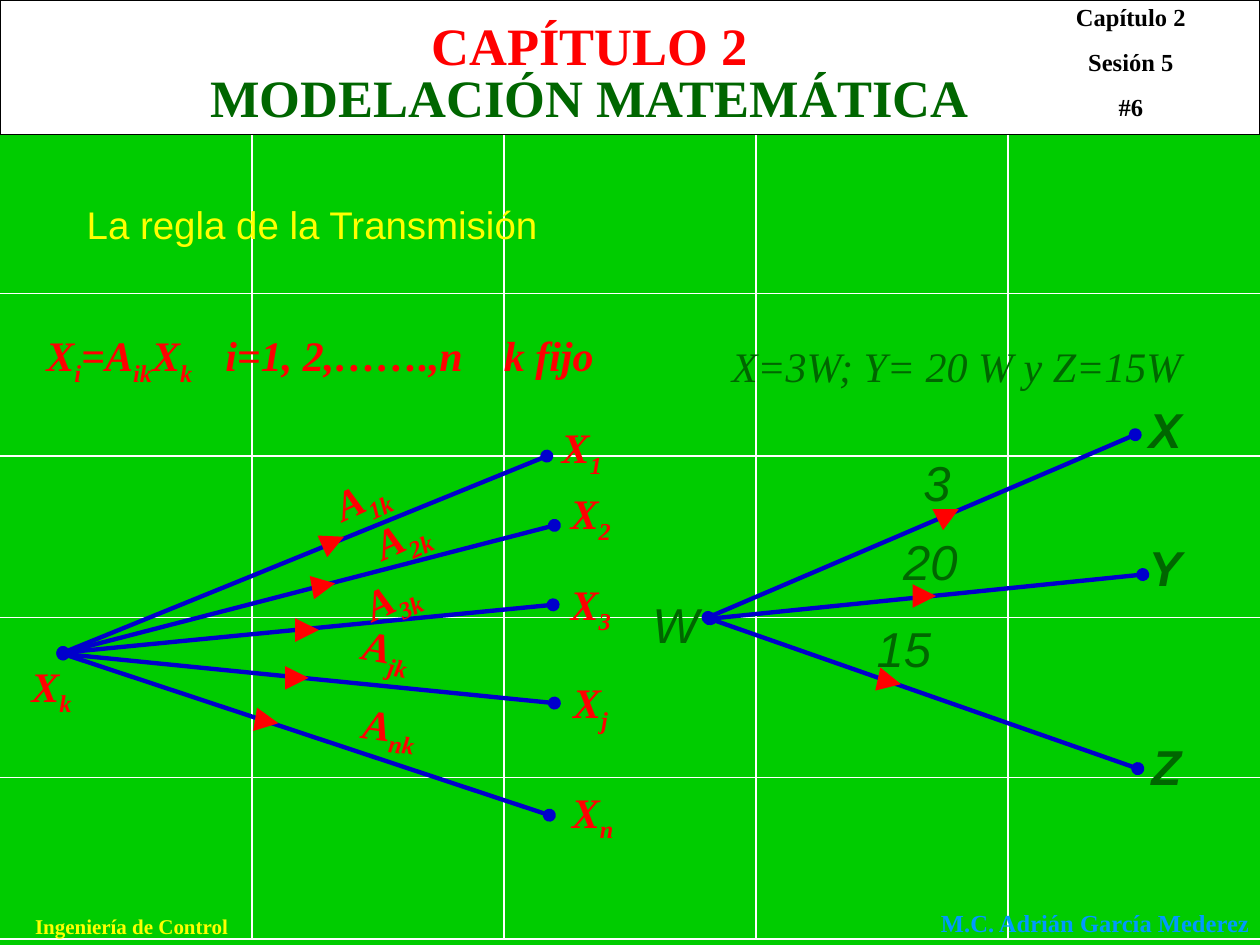
import pptx
import pptx.dml.color
import pptx.enum.shapes
import pptx.enum.text
import pptx.oxml
import pptx.oxml.ns
import pptx.util
import lxml.etree

PX = 9144  # one px is a hundredth of an inch
PAGE = (1000, 750)

THEME = {
    "ground": "00CC00", "grid": "FFFFFF", "panel": "FFFFFF", "border": "000000",
    "branch": "0000CC", "arrow": "FF0000",
    # text styles: font, size, colour, bold, italic
    "title": ("Times New Roman", 30, "FF0000", True, False),
    "subtitle": ("Times New Roman", 30, "006600", True, False),
    "session": ("Times New Roman", 14, "000000", True, False),
    "course": ("Times New Roman", 12, "FFFF00", True, False),
    "author": ("Times New Roman", 14, "0099FF", True, False),
    "heading": ("Arial", 22, "FFFF00", False, False),
    "symbol": ("Times New Roman", 24, "FF0000", True, True),
    "example": ("Times New Roman", 24, "006600", False, True),
    "node": ("Arial", 28, "006600", True, True),
    "gain": ("Arial", 28, "006600", False, True),
}

# Content: within a paragraph, every second piece is a subscript
TITLE = [["CAPÍTULO 2"]]
FORMULA = [["X", "i", "=A", "ik", "X", "k", "\ti=1, 2,…….,n\tk fijo"]]
FORMULA_TABS = (142, 363)
TEXTS = [  # paragraphs, (left, top, width, height), style, centred
    ([["MODELACIÓN MATEMÁTICA"]], (90, 47, 756, 60), "subtitle", True),
    ([["Capítulo 2"], ["Sesión 5"], ["#6"]], (815, -3, 165, 105), "session", True),
    ([["Ingeniería de Control"]], (0, 720, 209, 30), "course", True),
    ([["La regla de la Transmisión"]], (59, 155, 417, 47), "heading", False),
    ([["X=3W; Y= 20 W y Z=15W"]], (571, 265, 394, 50), "example", False),
]
SYMBOLS = [  # letter, subscript, left, top, rotation
    ("X", "k", 15, 519, 0), ("X", "1", 436, 330, 0), ("X", "2", 443, 382, 0),
    ("X", "3", 443, 454, 0), ("X", "j", 445, 532, 0), ("X", "n", 444, 619, 0),
    ("A", "1k", 256, 367, -24.7), ("A", "2k", 288, 398, -24.7),
    ("A", "3k", 280, 446, -24.7), ("A", "jk", 278, 490, 9.9),
    ("A", "nk", 278, 551, 7.4),
]
EXAMPLE_LABELS = [  # text, left, top, width, style
    ("X", 902, 312, 52, "node"), ("Y", 902, 422, 56, "node"),
    ("Z", 904, 580, 56, "node"), ("W", 508, 467, 56, "gain"),
    ("3", 723, 354, 66, "gain"), ("20", 707, 417, 68, "gain"),
    ("15", 686, 486, 68, "gain"),
]
BRANCHES = [  # from x, y, to x, y
    (562, 490, 901, 345), (563, 491, 903, 610), (564, 491, 907, 456),
    (50, 518, 440, 417), (50, 518, 434, 362), (50, 519, 436, 647),
    (50, 518, 439, 480), (50, 519, 440, 558),
]
ARROWS = [
    (753, 408, 761, 404), (733, 473, 743, 473), (706, 541, 715, 543),
    (264, 430, 273, 426), (255, 465, 266, 463), (241, 500, 253, 500),
    (237, 538, 245, 538), (209, 572, 221, 574),
]


def color(value):
    return pptx.dml.color.RGBColor.from_string(value)


def scaled(lengths):
    return [length * PX for length in lengths]


def add_line(ends, ink, width, head=None, tail=None):
    line = page.shapes.add_connector(
        pptx.enum.shapes.MSO_CONNECTOR.STRAIGHT, *scaled(ends))
    line.line.color.rgb = color(ink)
    line.line.width = pptx.util.Pt(width)
    stroke = line.line._get_or_add_ln()
    for tag, kind in (("a:headEnd", head), ("a:tailEnd", tail)):
        if kind:
            lxml.etree.SubElement(stroke, pptx.oxml.ns.qn(tag), type=kind)
    lxml.etree.SubElement(line._element.spPr, pptx.oxml.ns.qn("a:effectLst"))


def write(box, paragraphs, style, centred=False, tabs=()):
    font, size, ink, bold, italic = THEME[style]
    frame = box.text_frame
    frame.word_wrap = True
    frame.auto_size = pptx.enum.text.MSO_AUTO_SIZE.NONE
    frame.vertical_anchor = pptx.enum.text.MSO_ANCHOR.TOP
    for row, pieces in enumerate(paragraphs):
        para = frame.add_paragraph() if row else frame.paragraphs[0]
        align = pptx.enum.text.PP_ALIGN
        para.alignment = align.CENTER if centred else align.LEFT
        para.space_before = pptx.util.Pt(8.8 if row else 0)
        if tabs:
            stops = lxml.etree.SubElement(
                para._p.get_or_add_pPr(), pptx.oxml.ns.qn("a:tabLst"))
            for stop in tabs:
                lxml.etree.SubElement(stops, pptx.oxml.ns.qn("a:tab"),
                                      pos=str(stop * PX), algn="l")
        for index, piece in enumerate(pieces):
            span = para.add_run()
            span.text = piece
            span.font.name = font
            span.font.size = pptx.util.Pt(size)
            span.font.color.rgb = color(ink)
            span.font.bold = bold
            span.font.italic = italic
            if index % 2:
                span._r.get_or_add_rPr().set("baseline", "-25000")


def add_text(paragraphs, place, style, centred=False, tabs=()):
    box = page.shapes.add_textbox(*scaled(place))
    write(box, paragraphs, style, centred, tabs)
    return box


deck = pptx.Presentation()
deck.slide_width, deck.slide_height = scaled(PAGE)
page = deck.slides.add_slide(deck.slide_layouts[5])
page.background.fill.solid()
page.background.fill.fore_color.rgb = color(THEME["ground"])

# Background grid
for x in range(200, 1000, 200):
    add_line((x, 105, x, 745), THEME["grid"], 1)
for y in (233, 362, 490, 617, 745):
    add_line((0, y, 1000, y), THEME["grid"], 1)

# Header panel with the title in front of it
panel = page.shapes.add_shape(
    pptx.enum.shapes.MSO_SHAPE.RECTANGLE, *scaled((0, 0, 1000, 107)))
panel.shadow.inherit = False
panel.fill.solid()
panel.fill.fore_color.rgb = color(THEME["panel"])
panel.line.color.rgb = color(THEME["border"])
panel.line.width = pptx.util.Pt(0.75)
title = page.shapes.title
title.left, title.top, title.width, title.height = scaled((90, 5, 756, 60))
write(title, TITLE, "title", centred=True)
panel._element.addnext(title._element)

# Texts and formula
for paragraphs, place, style, centred in TEXTS:
    add_text(paragraphs, place, style, centred)
add_text(FORMULA, (27, 257, 492, 56), "symbol", tabs=FORMULA_TABS)
author = add_text([["M.C. Adrián García Mederez"]], (737, 716, 266, 34), "author")
author.text_frame.word_wrap = False

# Signal flow graphs
for ends in BRANCHES:
    add_line(ends, THEME["branch"], 2.5, head="oval", tail="oval")
for ends in ARROWS:
    add_line(ends, THEME["arrow"], 4.5, tail="triangle")
for letter, index, left, top, rotation in SYMBOLS:
    add_text([[letter, index]], (left, top, 71, 56), "symbol").rotation = rotation
for text, left, top, width, style in EXAMPLE_LABELS:
    add_text([[text]], (left, top, width, 60), style)

deck.save("out.pptx")
